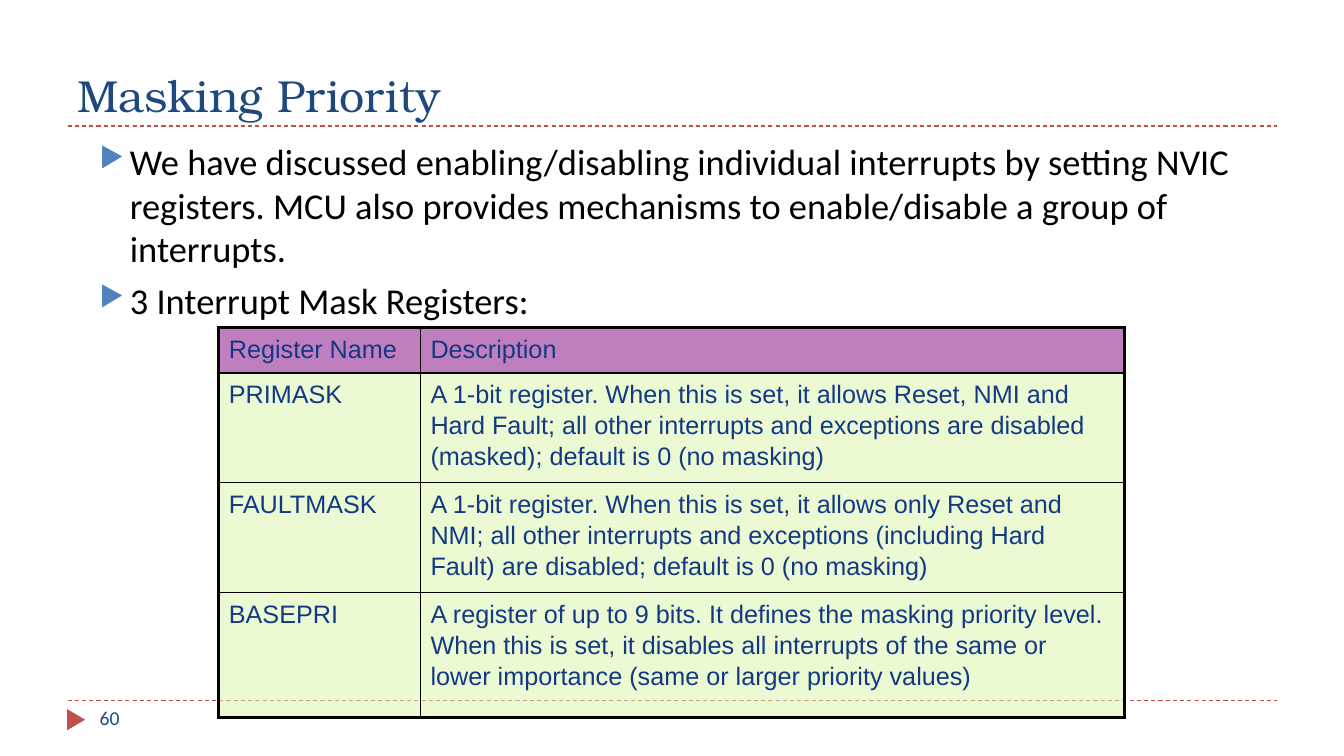
from dataclasses import dataclass

from lxml import etree
from pptx import Presentation
from pptx import util as u
from pptx.dml.color import RGBColor
from pptx.enum import dml, shapes, text
from pptx.oxml.ns import qn


@dataclass(frozen=True)
class Theme:
    accent: str = "C0504D"
    bullet: str = "4F81BD"
    border: str = "000000"
    header_fill: str = "800080"
    row_fill: str = "D8F6A8"
    fill_alpha: int = 50
    thin: float = 1
    thick: float = 2.25
    title = dict(name="TeX Gyre Bonum", size=32, color="1F497D")
    body = dict(name="Calibri", size=26, color="000000")
    number = dict(name="Calibri", size=14, color="1F497D")
    cell = dict(name="Arial", size=18, color="133984")


def sub(parent, tag, **attrs):
    return etree.SubElement(parent, qn(tag), {k: str(v) for k, v in attrs.items()})


class Deck:
    def __init__(self, theme):
        self.theme = theme
        self.prs = Presentation()
        self.prs.slide_width, self.prs.slide_height = u.Inches(13.33), u.Inches(7.5)
        self.s = self.prs.slides.add_slide(self.prs.slide_layouts[6])

    def add_words(self, p, words, style):
        r = p.add_run()
        r.text = words
        values = dict(style, size=u.Pt(style["size"]))
        r.font.color.rgb = RGBColor.from_string(values.pop("color"))
        for key, value in values.items():
            setattr(r.font, key, value)

    def rule(self, y, left=0.67, right=12.67):
        ln = self.s.shapes.add_connector(
            shapes.MSO_CONNECTOR.STRAIGHT, *map(u.Inches, (left, y, right, y)))
        ln.line.color.rgb = RGBColor.from_string(self.theme.accent)
        ln.line.width = u.Pt(0.75)
        ln.line.dash_style = dml.MSO_LINE.DASH
        sub(ln._element.spPr, "a:effectLst")

    def marker(self, *box):
        sp = self.s.shapes.add_shape(
            shapes.MSO_SHAPE.ISOSCELES_TRIANGLE, *map(u.Inches, box))
        sp.rotation = 90
        sp.shadow.inherit = False
        sp.fill.solid()
        sp.fill.fore_color.rgb = RGBColor.from_string(self.theme.accent)
        sp.line.fill.background()

    def text(self, box, paragraphs, style, anchor=text.MSO_ANCHOR.TOP, bullets=False):
        tf = self.s.shapes.add_textbox(*map(u.Inches, box)).text_frame
        tf.word_wrap = True
        tf.vertical_anchor = anchor
        for i, words in enumerate(paragraphs):
            p = tf.add_paragraph() if i else tf.paragraphs[0]
            if i:
                p.space_before = u.Pt(6)
            if bullets:
                self.bullet(p)
            self.add_words(p, words, style)

    def bullet(self, p):
        pPr = p._p.get_or_add_pPr()
        pPr.set("marL", str(u.Inches(0.3)))
        pPr.set("indent", str(-u.Inches(0.3)))
        sub(sub(pPr, "a:buClr"), "a:srgbClr", val=self.theme.bullet)
        sub(pPr, "a:buSzPct", val=76000)
        sub(pPr, "a:buChar", char="▶")

    def table(self, left, top, widths, heights, rows):
        size = (left, top, sum(widths), sum(heights))
        tbl = self.s.shapes.add_table(
            len(rows), len(widths), *map(u.Inches, size)).table
        tbl.first_row = tbl.horz_banding = False
        for col, width in zip(tbl.columns, widths):
            col.width = u.Inches(width)
        for i, (row, height) in enumerate(zip(tbl.rows, heights)):
            row.height = u.Inches(height)
            for j, cell in enumerate(row.cells):
                p = cell.text_frame.paragraphs[0]
                p.line_spacing = 1.1
                self.add_words(p, rows[i][j], self.theme.cell)
                self.fill_cell(cell, self.theme.row_fill if i else self.theme.header_fill)
                self.border_cell(cell, dict(
                    L=j == 0, R=j == len(widths) - 1, T=i == 0, B=i == len(rows) - 1))

    def fill_cell(self, cell, color):
        cell.fill.solid()
        cell.fill.fore_color.rgb = RGBColor.from_string(color)
        clr = cell._tc.tcPr.find(".//" + qn("a:srgbClr"))
        sub(clr, "a:alpha", val=self.theme.fill_alpha * 1000)

    def border_cell(self, cell, outer_sides):
        # Border lines come before the fill in the cell properties
        tcPr = cell._tc.tcPr
        for k, (side, outer) in enumerate(outer_sides.items()):
            width = self.theme.thick if outer else self.theme.thin
            ln = sub(tcPr, "a:ln" + side, w=u.Pt(width))
            sub(sub(ln, "a:solidFill"), "a:srgbClr", val=self.theme.border)
            tcPr.insert(k, ln)


REGISTERS = [
    ("Register Name", "Description"),
    ("PRIMASK", "A 1-bit register. When this is set, it allows Reset, NMI and Hard Fault; "
     "all other interrupts and exceptions are disabled (masked); default is 0 (no masking)"),
    ("FAULTMASK", "A 1-bit register. When this is set, it allows only Reset and NMI; "
     "all other interrupts and exceptions (including Hard Fault) are disabled; "
     "default is 0 (no masking)"),
    ("BASEPRI", "A register of up to 9 bits. It defines the masking priority level. "
     "When this is set, it disables all interrupts of the same or lower importance "
     "(same or larger priority values)"),
]
POINTS = [
    "We have discussed enabling/disabling individual interrupts by setting NVIC registers. "
    "MCU also provides mechanisms to enable/disable a group of interrupts.",
    "3 Interrupt Mask Registers:",
]


def main():
    theme = Theme()
    deck = Deck(theme)
    # Footer and title rules, page marker
    for y in (6.95, 1.25):
        deck.rule(y)
    deck.marker(0.65, 7.05, 0.21, 0.18)
    # Title, page number and points
    deck.text((0.67, 0.17, 12, 1.08), ["Masking Priority"], theme.title,
              anchor=text.MSO_ANCHOR.BOTTOM)
    deck.text((0.89, 6.95, 2.89, 0.4), ["60"], theme.number)
    deck.text((0.89, 1.33, 11.77, 2.33), POINTS, theme.body, bullets=True)
    # Register table
    deck.table(2.17, 3.25, (2, 6.98), (0.45, 0.78, 0.78, 1.24), REGISTERS)
    deck.prs.save("out.pptx")


if __name__ == "__main__":
    main()
